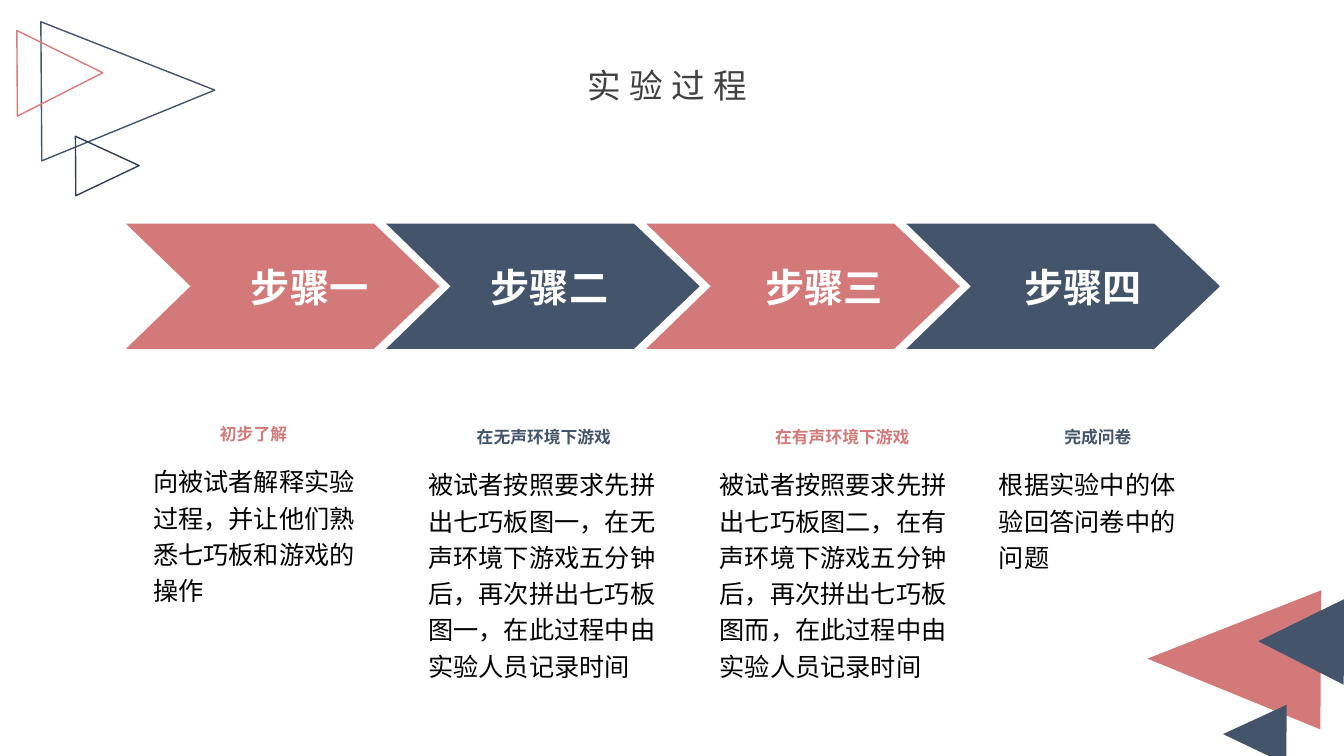
from dataclasses import dataclass

from lxml import etree
from pptx import Presentation
from pptx.dml.color import RGBColor
from pptx.enum.shapes import MSO_SHAPE
from pptx.enum.text import MSO_ANCHOR, MSO_AUTO_SIZE, PP_ALIGN
from pptx.oxml.ns import qn
from pptx.util import Inches, Pt

TRIANGLE = MSO_SHAPE.ISOSCELES_TRIANGLE
LEFT, CENTER, JUSTIFY = PP_ALIGN.LEFT, PP_ALIGN.CENTER, PP_ALIGN.JUSTIFY
MIDDLE, TOP = MSO_ANCHOR.MIDDLE, MSO_ANCHOR.TOP
GROW = MSO_AUTO_SIZE.SHAPE_TO_FIT_TEXT
TITLE_ONLY = 5


@dataclass(frozen=True)
class Theme:
    font: str = "Noto Sans CJK SC"
    rose: str = "D37979"
    navy: str = "44546A"
    rose_line: str = "DD7979"
    dark_line: str = "333F50"
    title: str = "404040"
    body: str = "000000"
    white: str = "FFFFFF"
    title_size: int = 24
    step_size: int = 28
    heading_size: int = 12
    body_size: int = 18


def rgb(color):
    return RGBColor.from_string(color)


def write_text(tf, text, *, font, size, color, bold=False, align=LEFT,
               anchor=TOP, line_spacing=None, tracking=None):
    """Fill a text frame with one formatted paragraph."""
    tf.word_wrap = True
    tf.auto_size = GROW
    tf.vertical_anchor = anchor
    p = tf.paragraphs[0]
    p.alignment = align
    if line_spacing:
        p.line_spacing = line_spacing
    r = p.add_run()
    r.text = text
    r.font.name = font
    r.font.size = Pt(size)
    r.font.bold = bold
    r.font.color.rgb = rgb(color)
    rPr = r.font._element
    etree.SubElement(rPr, qn("a:ea")).set("typeface", font)
    if tracking:
        rPr.set("spc", str(tracking * 100))


class SlideBuilder:
    def __init__(self, slide, theme):
        self.s = slide
        self.theme = theme

    def title(self, text, box):
        sp = self.s.shapes.title
        sp.left, sp.top, sp.width, sp.height = map(Inches, box)
        tf = sp.text_frame
        tf.margin_left = tf.margin_right = tf.margin_top = tf.margin_bottom = 0
        write_text(tf, text, font=self.theme.font, size=self.theme.title_size,
                   color=self.theme.title, align=CENTER, anchor=MIDDLE, tracking=6)

    def text(self, text, box, **fmt):
        sp = self.s.shapes.add_textbox(*map(Inches, box))
        write_text(sp.text_frame, text, font=self.theme.font, **fmt)

    def triangle(self, box, rotation, fill=None, line=None):
        sp = self.s.shapes.add_shape(TRIANGLE, *map(Inches, box))
        sp.rotation = rotation
        self.paint(sp, fill, line)

    def polygon(self, points, fill):
        pts = [(Inches(x), Inches(y)) for x, y in points]
        builder = self.s.shapes.build_freeform(*pts[0])
        builder.add_line_segments(pts[1:], close=True)
        self.paint(builder.convert_to_shape(), fill)

    def paint(self, sp, fill=None, line=None):
        sp.shadow.inherit = False
        if fill:
            sp.fill.solid()
            sp.fill.fore_color.rgb = rgb(fill)
        else:
            sp.fill.background()
        if line:
            sp.line.color.rgb = rgb(line)
            sp.line.width = Pt(1)
        else:
            sp.line.fill.background()


def main():
    prs = Presentation()
    prs.slide_width, prs.slide_height = Inches(13.33), Inches(7.5)
    theme = Theme()
    s = SlideBuilder(prs.slides.add_slide(prs.slide_layouts[TITLE_ONLY]), theme)

    # Corner triangles: filled at bottom right, outlined at top left
    for box, fill in [
        ((11.55, 5.68, 1.38, 1.72), theme.rose),
        ((12.15, 6.97, 0.59, 0.63), theme.navy),
        ((12.48, 5.94, 0.85, 0.85), theme.navy),
    ]:
        s.triangle(box, 270.4, fill=fill)
    for box, line in [
        ((0.58, 0.04, 1.38, 1.72), theme.navy),
        ((0.77, 1.33, 0.59, 0.63), theme.dark_line),
        ((0.17, 0.3, 0.85, 0.85), theme.rose_line),
    ]:
        s.triangle(box, 89.6, line=line)

    s.title("实验过程", (4.57, 0.64, 4.09, 0.4))

    # Steps: label and its left, heading and its box, body and its box
    steps = [
        ("步骤一", 2.39, "初步了解", (1.73, 4.15, 1.57, 0.3),
         "向被试者解释实验过程，并让他们熟悉七巧板和游戏的操作",
         (1.42, 4.52, 2.44, 1.55)),
        ("步骤二", 4.77, "在无声环境下游戏", (4.37, 4.18, 2.05, 0.3),
         "被试者按照要求先拼出七巧板图一，在无声环境下游戏五分钟后，"
         "再次拼出七巧板图一，在此过程中由实验人员记录时间",
         (4.15, 4.55, 2.49, 2.28)),
        ("步骤三", 7.49, "在有声环境下游戏", (7.28, 4.18, 2.15, 0.3),
         "被试者按照要求先拼出七巧板图二，在有声环境下游戏五分钟后，"
         "再次拼出七巧板图而，在此过程中由实验人员记录时间",
         (7.04, 4.55, 2.62, 2.28)),
        ("步骤四", 10.06, "完成问卷", (10.11, 4.18, 1.56, 0.3),
         "根据实验中的体验回答问卷中的问题",
         (9.81, 4.55, 2.17, 1.19)),
    ]
    chevron_left, chevron_top, chevron_pitch = 1.25, 2.22, 2.58
    chevron = [(2.46, 0), (0, 0), (0.64, 0.62), (0, 1.24), (2.46, 1.24), (3.11, 0.62)]

    for i, (label, label_left, heading, heading_box, body, body_box) in enumerate(steps):
        color = (theme.rose, theme.navy)[i % 2]
        left = chevron_left + i * chevron_pitch
        s.polygon([(left + x, chevron_top + y) for x, y in chevron], color)
        s.text(label, (label_left, 2.56, 1.44, 0.57), size=theme.step_size,
               color=theme.white, bold=True, align=JUSTIFY)
        s.text(body, body_box, size=theme.body_size, color=theme.body,
               line_spacing=1.2)
        s.text(heading, heading_box, size=theme.heading_size, color=color,
               bold=True, align=CENTER)

    prs.save("out.pptx")


if __name__ == "__main__":
    main()
